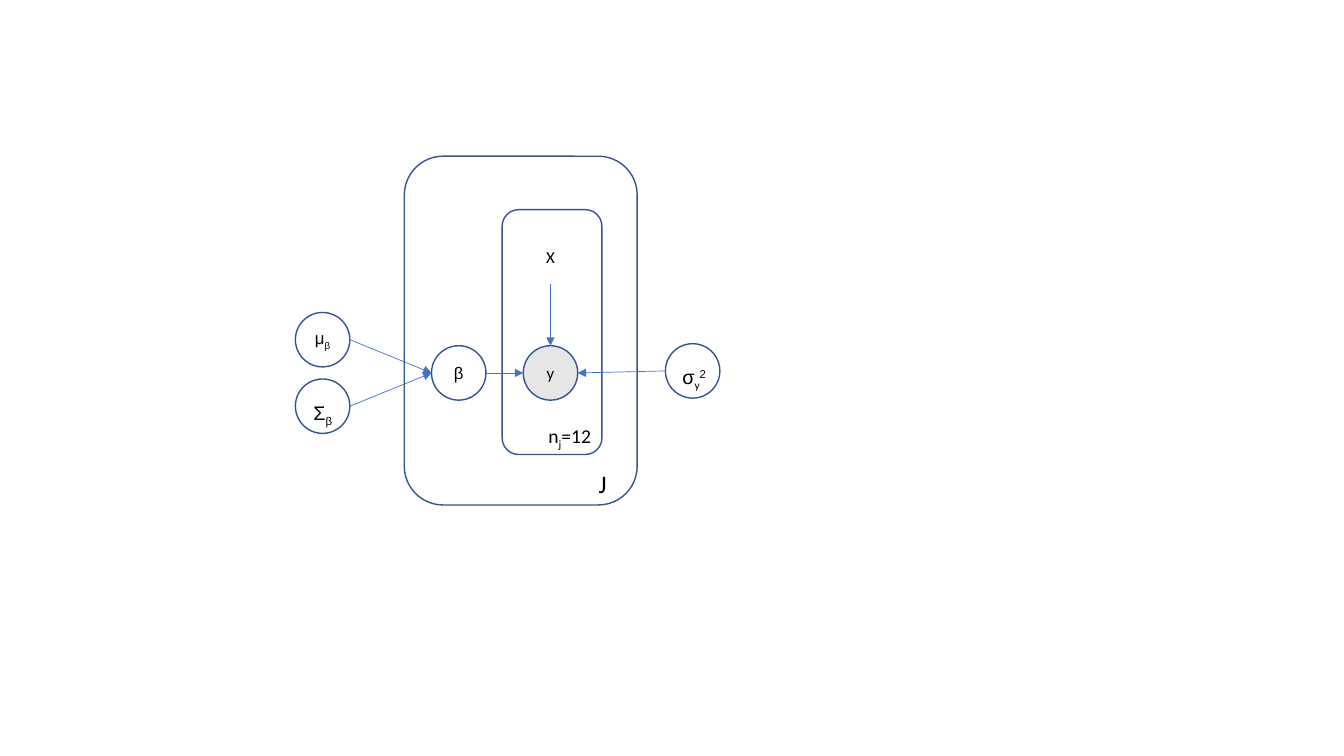
from dataclasses import dataclass

from lxml import etree
from pptx import Presentation
from pptx.dml.color import RGBColor
from pptx.enum.shapes import MSO_CONNECTOR, MSO_SHAPE
from pptx.enum.text import MSO_ANCHOR, MSO_AUTO_SIZE, PP_ALIGN
from pptx.oxml.ns import qn
from pptx.shapes.autoshape import Shape
from pptx.shapes.shapetree import SlideShapes
from pptx.text.text import TextFrame
from pptx.util import Inches, Pt

OVAL, ROUNDED = MSO_SHAPE.OVAL, MSO_SHAPE.ROUNDED_RECTANGLE
STRAIGHT = MSO_CONNECTOR.STRAIGHT
MIDDLE, TOP = MSO_ANCHOR.MIDDLE, MSO_ANCHOR.TOP
CENTER, LEFT = PP_ALIGN.CENTER, PP_ALIGN.LEFT
GROW = MSO_AUTO_SIZE.SHAPE_TO_FIT_TEXT

BLACK = RGBColor(0x00, 0x00, 0x00)
OUTLINE = RGBColor(0x32, 0x54, 0x91)
ARROW = RGBColor(0x44, 0x72, 0xC4)
OBSERVED = RGBColor(0xE7, 0xE6, 0xE6)

# Grid of the slide: square cells
COLUMNS, ROWS = 1333, 750
CELL = Inches(0.01)
DIAMETER = 54
SUB, SUPER = -25, 30
SIDES = {"top": (0.5, 0), "left": (0, 0.5), "bottom": (0.5, 1), "right": (1, 0.5)}


@dataclass(frozen=True)
class Glyph:
    text: str
    font: str = "Calibri"
    shift: int = 0


@dataclass(frozen=True)
class Node:
    column: int
    row: int
    symbol: tuple[Glyph, ...] = ()
    fill: RGBColor | None = None
    outlined: bool = True

    def side(self, name: str) -> tuple[int, int]:
        across, down = SIDES[name]
        return cells(self.column + across * DIAMETER), cells(self.row + down * DIAMETER)


@dataclass(frozen=True)
class Plate:
    column: int
    row: int
    width: int
    height: int


@dataclass(frozen=True)
class Label:
    column: int
    row: int
    width: int
    height: int
    size: int
    symbol: tuple[Glyph, ...]
    inset: int = 5
    spacing: float = 0


@dataclass(frozen=True)
class Edge:
    start: str
    start_side: str
    end: str
    end_side: str


NODES = {
    "y": Node(519, 343, (Glyph("y"),), fill=OBSERVED),
    "beta": Node(428, 343, (Glyph("β", "Arial"),)),
    "x": Node(519, 228, (Glyph("X"),), outlined=False),
    "variance": Node(660, 341),
    "mean": Node(293, 310, (Glyph("μ", "Arial"), Glyph("β", "Arial", SUB))),
    "covariance": Node(293, 376),
}
PLATES = [Plate(498, 208, 99, 243), Plate(401, 155, 231, 346)]
EDGES = [
    Edge("x", "bottom", "y", "top"),
    Edge("beta", "right", "y", "left"),
    Edge("variance", "left", "y", "right"),
    Edge("mean", "right", "beta", "left"),
    Edge("covariance", "right", "beta", "left"),
]
LABELS = [
    Label(584, 460, 26, 41, 18, (Glyph("J"),)),
    Label(301, 373, 62, 47, 14, (Glyph("Σ", "Arial"), Glyph("β", "Arial", SUB)),
          inset=25, spacing=-1.5),
    Label(667, 337, 47, 47, 14,
          (Glyph("σ", "Arial"), Glyph("y", "Calibri", SUB), Glyph("2", "Arial", SUPER)),
          inset=25, spacing=-1.5),
    Label(534, 416, 112, 34, 14, (Glyph("n"), Glyph("j", shift=SUB), Glyph("=12"))),
]


def cells(count: float) -> int:
    return round(count * CELL)


def write(frame: TextFrame, symbol: tuple[Glyph, ...], size: int,
          align: PP_ALIGN, spacing: float = 0) -> None:
    paragraph = frame.paragraphs[0]
    paragraph.alignment = align
    for glyph in symbol:
        run = paragraph.add_run()
        run.text = glyph.text
        for key, value in {"name": glyph.font, "size": Pt(size)}.items():
            setattr(run.font, key, value)
        run.font.color.rgb = BLACK
        properties = run.font._element
        if glyph.shift:
            properties.set("baseline", str(glyph.shift * 1000))
        if spacing:
            properties.set("spc", str(round(spacing * 100)))


def draw_outline(shapes: SlideShapes, kind: MSO_SHAPE, column: int, row: int,
                 width: int, height: int, fill: RGBColor | None = None,
                 outlined: bool = True) -> Shape:
    shape = shapes.add_shape(kind, cells(column), cells(row), cells(width), cells(height))
    shape.shadow.inherit = False
    if fill is None:
        shape.fill.background()
    else:
        shape.fill.solid()
        shape.fill.fore_color.rgb = fill
    if outlined:
        shape.line.color.rgb = OUTLINE
        shape.line.width = Pt(1)
    else:
        shape.line.fill.background()
    return shape


def draw_node(shapes: SlideShapes, node: Node) -> None:
    circle = draw_outline(shapes, OVAL, node.column, node.row, DIAMETER, DIAMETER,
                          node.fill, node.outlined)
    circle.text_frame.vertical_anchor = MIDDLE
    write(circle.text_frame, node.symbol, 12, CENTER)


def draw_edge(shapes: SlideShapes, edge: Edge) -> None:
    start = NODES[edge.start].side(edge.start_side)
    end = NODES[edge.end].side(edge.end_side)
    arrow = shapes.add_connector(STRAIGHT, *start, *end)
    arrow.line.color.rgb = ARROW
    arrow.line.width = Pt(0.5)
    properties = arrow._element.spPr
    etree.SubElement(properties.find(qn("a:ln")), qn("a:tailEnd"), type="triangle")
    etree.SubElement(properties, qn("a:effectLst"))


def draw_label(shapes: SlideShapes, label: Label) -> None:
    box = shapes.add_textbox(cells(label.column), cells(label.row),
                             cells(label.width), cells(label.height))
    layout = {"word_wrap": True, "auto_size": GROW, "vertical_anchor": TOP,
              "margin_top": cells(label.inset)}
    for key, value in layout.items():
        setattr(box.text_frame, key, value)
    write(box.text_frame, label.symbol, label.size, LEFT, label.spacing)


def main() -> None:
    deck = Presentation()
    deck.slide_width, deck.slide_height = cells(COLUMNS), cells(ROWS)
    shapes = deck.slides.add_slide(deck.slide_layouts[6]).shapes

    # Variables and parameters
    for node in NODES.values():
        draw_node(shapes, node)
    # Plates around the repeated variables
    for plate in PLATES:
        draw_outline(shapes, ROUNDED, plate.column, plate.row, plate.width, plate.height)
    # Dependencies
    for edge in EDGES:
        draw_edge(shapes, edge)
    # Plate counts and variance symbols
    for label in LABELS:
        draw_label(shapes, label)

    deck.save("out.pptx")


if __name__ == "__main__":
    main()
